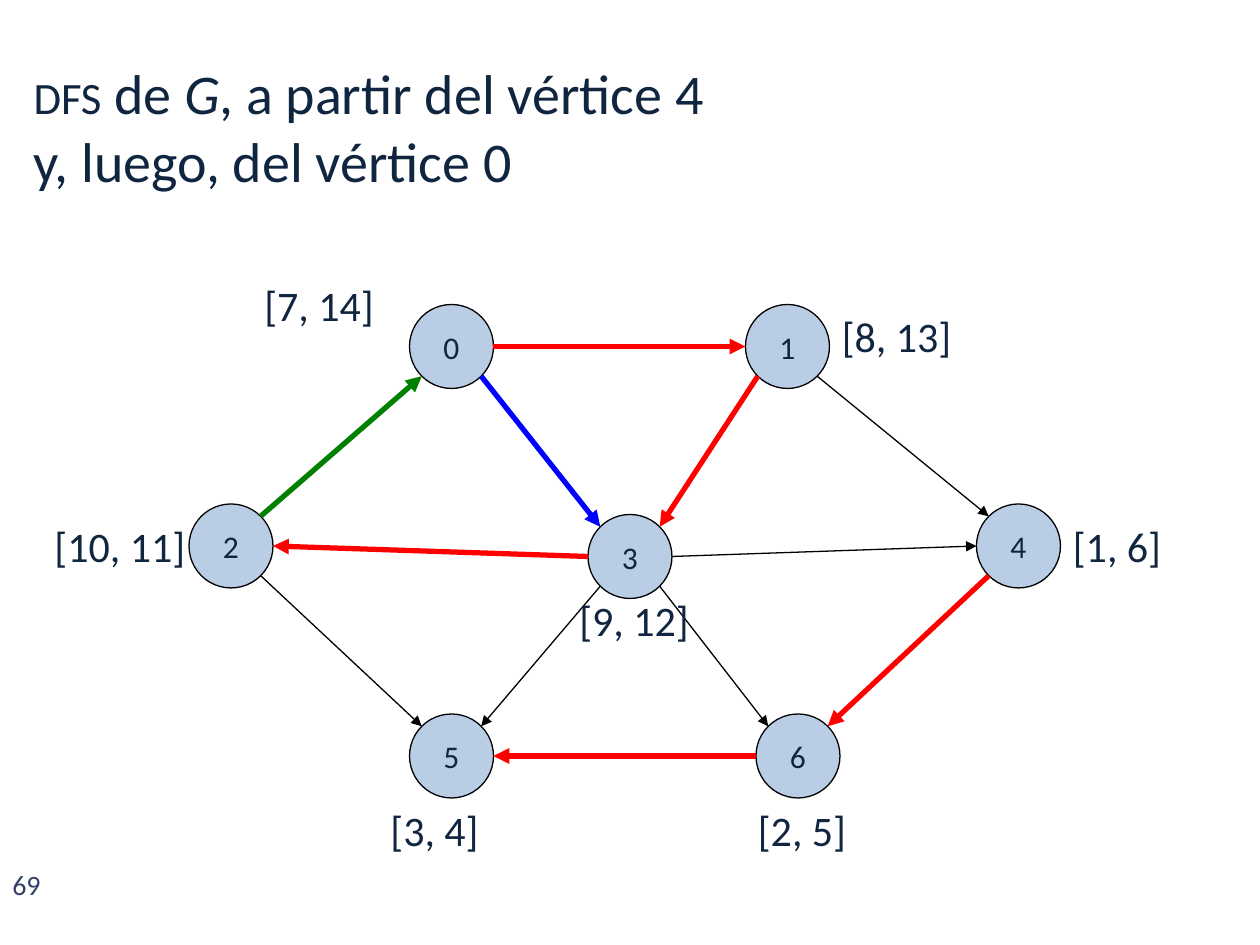
import math

from lxml import etree
from pptx import Presentation
from pptx import util as u
from pptx.dml.color import RGBColor
from pptx.enum import shapes, text
from pptx.oxml import ns

SCALE = 7620
DIAMETER = 80
LABEL_HEIGHT = 60
TOP_LEFT, LEFT, BOTTOM_LEFT, BOTTOM_RIGHT, RIGHT, TOP_RIGHT = 1, 2, 3, 5, 6, 7
RED, BLUE, GREEN, BLACK = "FF0000", "0000FF", "008000", "000000"


def px(length):
    return u.Emu(round(length * SCALE))


def color(value):
    return RGBColor.from_string(value)


def write(para, words, size=24, ink="10253F", font="Calibri", italic=False, small_caps=False):
    span = para.add_run()
    span.text = words
    span.font.name = font
    span.font.size = u.Pt(size)
    span.font.italic = italic
    span.font.color.rgb = color(ink)
    if small_caps:
        span.font._element.set("cap", "small")
    return span


class GraphPage:
    node_fill = "B9CDE5"
    number_ink = "344068"
    thin, thick = 0.75, 3

    def __init__(self, deck):
        self.page = deck.slides.add_slide(deck.slide_layouts[5])
        self.nodes = {}

    def title(self, left, top, width, height, lines):
        box = self.page.shapes.title
        box.left, box.top, box.width, box.height = map(px, (left, top, width, height))
        frame = box.text_frame
        frame.word_wrap = True
        frame.auto_size = text.MSO_AUTO_SIZE.NONE
        frame.vertical_anchor = text.MSO_ANCHOR.MIDDLE
        for index, pieces in enumerate(lines):
            para = frame.add_paragraph() if index else frame.paragraphs[0]
            para.alignment = text.PP_ALIGN.LEFT
            for words, style in pieces:
                write(para, words, size=32, **style)

    def label(self, left, top, width, words):
        box = self.page.shapes.add_textbox(*map(px, (left, top, width, LABEL_HEIGHT)))
        box.text_frame.word_wrap = False
        box.text_frame.auto_size = text.MSO_AUTO_SIZE.SHAPE_TO_FIT_TEXT
        write(box.text_frame.paragraphs[0], words)

    def page_number(self, left, top, width, height, words):
        box = self.page.shapes.add_textbox(*map(px, (left, top, width, height)))
        box.text_frame.word_wrap = True
        write(box.text_frame.paragraphs[0], words, size=16, ink=self.number_ink)

    def node(self, name, left, top):
        circle = self.page.shapes.add_shape(
            shapes.MSO_SHAPE.OVAL, *map(px, (left, top, DIAMETER, DIAMETER)))
        circle.shadow.inherit = False
        circle.fill.solid()
        circle.fill.fore_color.rgb = color(self.node_fill)
        circle.line.color.rgb = color(BLACK)
        circle.line.width = u.Pt(self.thin)
        frame = circle.text_frame
        frame.word_wrap = False
        frame.vertical_anchor = text.MSO_ANCHOR.MIDDLE
        frame.paragraphs[0].alignment = text.PP_ALIGN.CENTER
        write(frame.paragraphs[0], str(name), size=18)
        self.nodes[name] = (circle, left, top)

    def site(self, name, index):
        _, left, top = self.nodes[name]
        radius = DIAMETER / 2
        angle = math.radians(45 * index)
        return (px(left + radius - radius * math.sin(angle)),
                px(top + radius - radius * math.cos(angle)))

    def edge(self, source, source_site, target, target_site, ink):
        arrow = self.page.shapes.add_connector(
            shapes.MSO_CONNECTOR.STRAIGHT,
            *self.site(source, source_site), *self.site(target, target_site))
        arrow.line.color.rgb = color(ink)
        arrow.line.width = u.Pt(self.thin if ink == BLACK else self.thick)
        properties = arrow._element.spPr
        etree.SubElement(properties.find(ns.qn("a:ln")), ns.qn("a:tailEnd"), type="triangle")
        etree.SubElement(properties, ns.qn("a:effectLst"))
        joints = arrow._element.nvCxnSpPr.cNvCxnSpPr
        for tag, name, index in (("a:stCxn", source, source_site), ("a:endCxn", target, target_site)):
            circle = self.nodes[name][0]
            etree.SubElement(joints, ns.qn(tag), id=str(circle.shape_id), idx=str(index))


NODES = {0: (390, 290), 3: (560, 490), 4: (930, 480), 2: (180, 480),
         5: (390, 680), 6: (720, 680), 1: (710, 290)}
EDGES = [
    (0, RIGHT, 1, LEFT, RED),
    (0, BOTTOM_RIGHT, 3, TOP_LEFT, BLUE),
    (1, BOTTOM_LEFT, 3, TOP_RIGHT, RED),
    (3, LEFT, 2, RIGHT, RED),
    (3, RIGHT, 4, LEFT, BLACK),
    (3, BOTTOM_LEFT, 5, TOP_RIGHT, BLACK),
    (3, BOTTOM_RIGHT, 6, TOP_LEFT, BLACK),
    (2, TOP_RIGHT, 0, TOP_LEFT + 2, GREEN),
    (1, BOTTOM_RIGHT, 4, TOP_LEFT, BLACK),
    (2, BOTTOM_RIGHT, 5, TOP_LEFT, BLACK),
    (4, BOTTOM_LEFT, 6, TOP_RIGHT, RED),
    (6, LEFT, 5, RIGHT, RED),
]
LABELS = [
    (1010, 490, 109, "[1, 6]"),
    (710, 760, 109, "[2, 5]"),
    (360, 760, 109, "[3, 4]"),
    (240, 260, 130, "[7, 14]"),
    (540, 560, 130, "[9, 12]"),
    (40, 490, 150, "[10, 11]"),
    (790, 290, 130, "[8, 13]"),
]
TITLE = [
    [("dfs", {"small_caps": True}), (" de ", {}), ("G", {"italic": True}),
     (", a partir del vértice 4", {})],
    [("y, luego, del vértice 0", {})],
]


def main():
    deck = Presentation()
    deck.slide_width, deck.slide_height = px(1200), px(900)
    graph = GraphPage(deck)
    graph.page_number(0, 820, 70, 50, "69")
    for name, (left, top) in NODES.items():
        graph.node(name, left, top)
    for edge in EDGES:
        graph.edge(*edge)
    graph.title(20, 40, 1160, 160, TITLE)
    for label in LABELS:
        graph.label(*label)
    deck.save("out.pptx")


if __name__ == "__main__":
    main()
